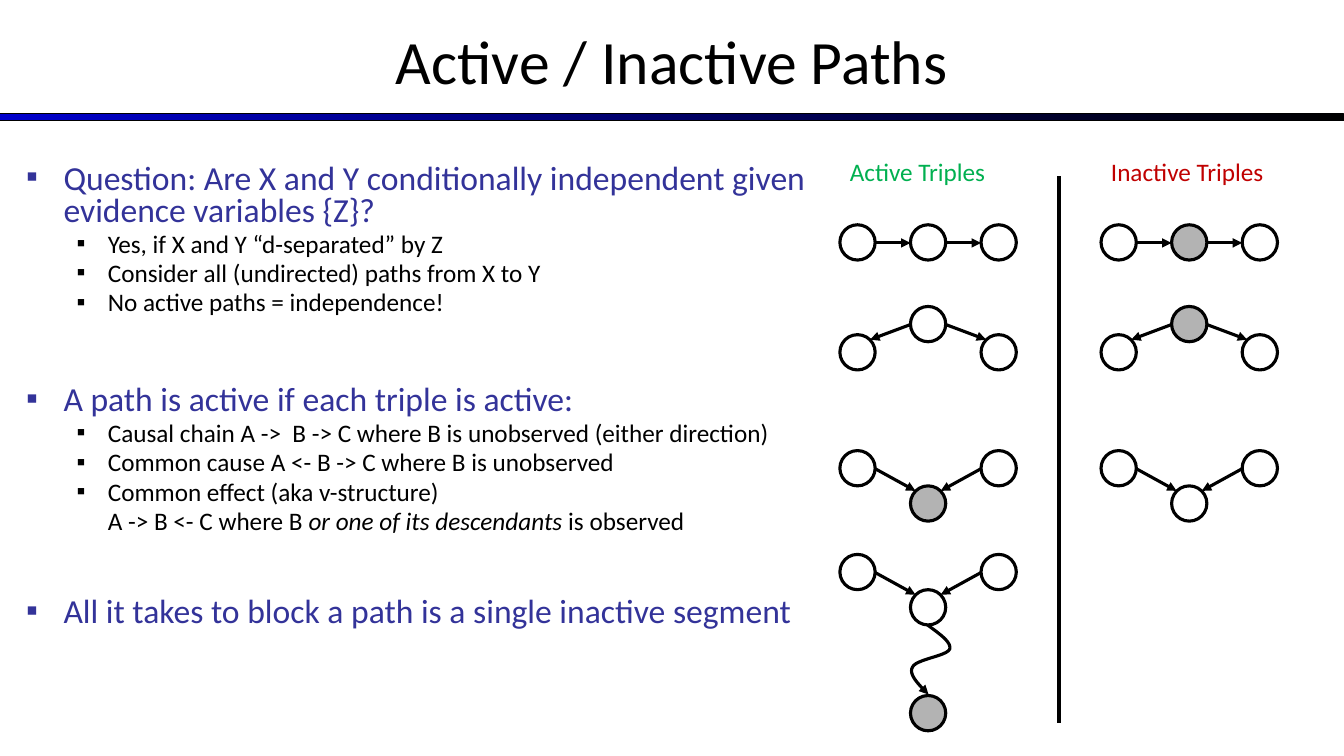
from lxml.etree import SubElement
from pptx import Presentation
from pptx.dml.color import RGBColor
from pptx.enum.shapes import MSO_CONNECTOR, MSO_SHAPE
from pptx.enum.text import MSO_ANCHOR, MSO_AUTO_SIZE, PP_ALIGN
from pptx.oxml.ns import qn
from pptx.util import Pt

PX = 9144  # one hundred px to the inch
FONT = "Calibri"
COLORS = {
    "ink": "000000", "paper": "FFFFFF", "bar": "0000CC", "heading": "333399",
    "observed": "B3B3B3", "active": "00B050", "inactive": "C00000",
}
NODE = 35
WIDTH = 175  # three nodes and the two gaps between them

# Side and middle node tops, then the two arrows of each kind of triple
TRIPLES = {
    "chain": (0, 0, [(35, 18, 70, 18), (105, 18, 140, 18)]),
    "cause": (28, 0, [(70, 18, 30, 33), (105, 18, 145, 33)]),
    "effect": (0, 35, [(35, 18, 75, 40), (140, 18, 100, 40)]),
}
# Start of the winding path, then control points and end of each curve
WINDING_START = (87, 70)
WINDING_CURVES = [
    ((99, 79), (111, 87), (109, 94)),
    ((106, 101), (75, 104), (72, 112)),
    ((68, 119), (78, 129), (88, 139)),
]

# Level, text pieces, bullet shown, space before in points
BODY = [
    (0, ["Question: Are X and Y conditionally independent given evidence variables {Z}?"], True, 0),
    (1, ["Yes, if X and Y “d-separated” by Z"], True, 3.6),
    (1, ["Consider all (undirected) paths from X to Y"], True, 3.6),
    (1, ["No active paths = independence!"], True, 3.6),
    (0, ["A path is active if each triple is active:"], True, 49.5),
    (1, ["Causal chain A ->  B -> C where B is unobserved (either direction)"], True, 3.6),
    (1, ["Common cause A <- B -> C where B is unobserved"], True, 3.6),
    (1, ["Common effect (aka v-structure)"], True, 3.6),
    (1, ["A -> B <- C where B ", "or one of its descendants", " is observed"], False, 3.6),
    (0, ["All it takes to block a path is a single inactive segment"], True, 44.8),
]
# Size, colour, left margin and hanging indent of each level
LEVELS = [(24, "heading", 37, 37), (18, "ink", 81, 31)]


def px(*lengths):
    return [round(length * PX) for length in lengths]


def color(name):
    return RGBColor.from_string(COLORS[name])


def style(font, size, name):
    font.name, font.size = FONT, Pt(size)
    font.color.rgb = color(name)


def place(shape, box):
    shape.left, shape.top, shape.width, shape.height = px(*box)


def draw_outline(shape, width=2.25):
    shape.line.color.rgb = color("ink")
    shape.line.width = Pt(width)


def add_arrowhead(shape):
    SubElement(shape.line._get_or_add_ln(), qn("a:tailEnd"), type="triangle")


def add_line(page, ends, width=2.25):
    line = page.shapes.add_connector(MSO_CONNECTOR.STRAIGHT, *px(*ends))
    draw_outline(line, width)
    SubElement(line._element.spPr, qn("a:effectLst"))
    return line


def add_node(page, left, top, observed=False):
    node = page.shapes.add_shape(MSO_SHAPE.OVAL, *px(left, top, NODE, NODE))
    node.shadow.inherit = False
    node.fill.solid()
    node.fill.fore_color.rgb = color("observed" if observed else "paper")
    draw_outline(node)


def add_title(page, box):
    title = page.shapes.title
    place(title, box)
    frame = title.text_frame
    frame.text = "Active / Inactive Paths"
    frame.auto_size = MSO_AUTO_SIZE.NONE
    frame.vertical_anchor = MSO_ANCHOR.MIDDLE
    frame.paragraphs[0].alignment = PP_ALIGN.CENTER
    style(frame.paragraphs[0].runs[0].font, 44, "ink")


def add_bar(page, box):
    bar = page.shapes.add_shape(MSO_SHAPE.RECTANGLE, *px(*box))
    bar.shadow.inherit = False
    bar.fill.gradient()
    bar.fill.gradient_angle = 0
    for stop, name in zip(bar.fill.gradient_stops, ("bar", "ink")):
        stop.color.rgb = color(name)
    draw_outline(bar, 0.75)


def set_bullet(para, shown, name, margin, hanging):
    properties = para._p.get_or_add_pPr()
    properties.set("marL", str(margin * PX))
    properties.set("indent", str(-hanging * PX if shown else 0))
    if shown:
        tint = SubElement(properties, qn("a:buClr"))
        SubElement(tint, qn("a:srgbClr"), val=COLORS[name])
        SubElement(properties, qn("a:buFont"), typeface="Arial")
        SubElement(properties, qn("a:buChar"), char="▪")
    else:
        SubElement(properties, qn("a:buNone"))


def add_body(page, box):
    body = page.placeholders[1]
    place(body, box)
    frame = body.text_frame
    frame.auto_size = MSO_AUTO_SIZE.NONE
    for index, (level, pieces, bulleted, space) in enumerate(BODY):
        para = frame.add_paragraph() if index else frame.paragraphs[0]
        size, name, margin, hanging = LEVELS[level]
        para.level = level
        set_bullet(para, bulleted, name, margin, hanging)
        para.line_spacing = 0.8
        para.space_before = Pt(space)
        for number, piece in enumerate(pieces):
            span = para.add_run()
            span.text = piece
            style(span.font, size, name)
            if number == 1:
                span.font.italic = True


def add_triple(page, left, top, kind, observed):
    side_top, middle_top, arrows = TRIPLES[kind]
    add_node(page, left, top + side_top)
    add_node(page, left + 70, top + middle_top, observed)
    add_node(page, left + 140, top + side_top)
    for x1, y1, x2, y2 in arrows:
        add_arrowhead(add_line(page, (left + x1, top + y1, left + x2, top + y2)))


def curve_points(start, curves, steps=12):
    for first, second, end in curves:
        for step in range(1, steps + 1):
            t = step / steps
            weights = ((1 - t) ** 3, 3 * t * (1 - t) ** 2, 3 * t * t * (1 - t), t ** 3)
            yield tuple(sum(w * point[axis] for w, point in zip(weights, (start, first, second, end)))
                        for axis in (0, 1))
        start = end


def add_descendant(page, left, top):
    start = px(left + WINDING_START[0], top + WINDING_START[1])
    builder = page.shapes.build_freeform(*start)
    points = [px(left + x, top + y) for x, y in curve_points(WINDING_START, WINDING_CURVES)]
    builder.add_line_segments(points, close=False)
    path = builder.convert_to_shape()
    path.shadow.inherit = False
    path.fill.background()
    draw_outline(path)
    add_arrowhead(path)
    add_node(page, left + 70, top + 140, observed=True)


def add_column(page, left, top, label, name, triples):
    # Column heading
    heading = page.shapes.add_textbox(*px(left, top, WIDTH + 17, 40))
    heading.text_frame.word_wrap = True
    heading.text_frame.text = label
    style(heading.text_frame.paragraphs[0].runs[0].font, 18, name)
    # Triples below it
    for offset, kind, observed in triples:
        add_triple(page, left, top + offset, kind, observed)


def main():
    deck = Presentation()
    deck.slide_width, deck.slide_height = px(1333, 750)
    page = deck.slides.add_slide(deck.slide_layouts[1])
    # Title and bar
    add_bar(page, (0, 113, 1333, 7))
    add_title(page, (0, -3, 1333, 125))
    # List on the left
    add_body(page, (16, 158, 826, 550))
    # Triples on the right
    add_column(page, 833, 150, "Active Triples", "active",
               [(73, "chain", False), (154, "cause", False),
                (297, "effect", True), (400, "effect", False)])
    add_descendant(page, 833, 550)
    add_column(page, 1092, 150, "Inactive Triples", "inactive",
               [(73, "chain", True), (154, "cause", True), (297, "effect", False)])
    add_line(page, (1050, 175, 1050, 717), 3)
    deck.save("out.pptx")


if __name__ == "__main__":
    main()
